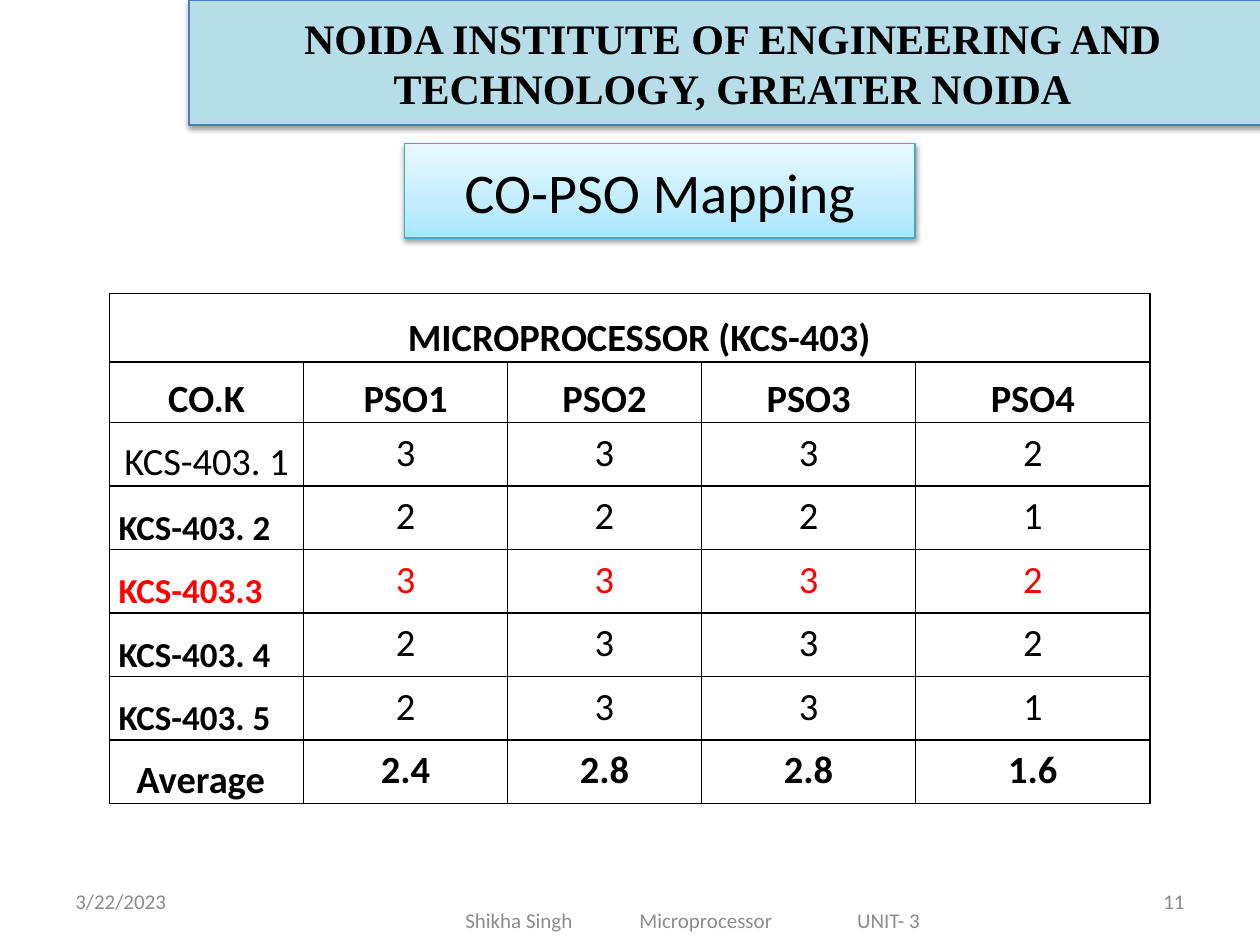
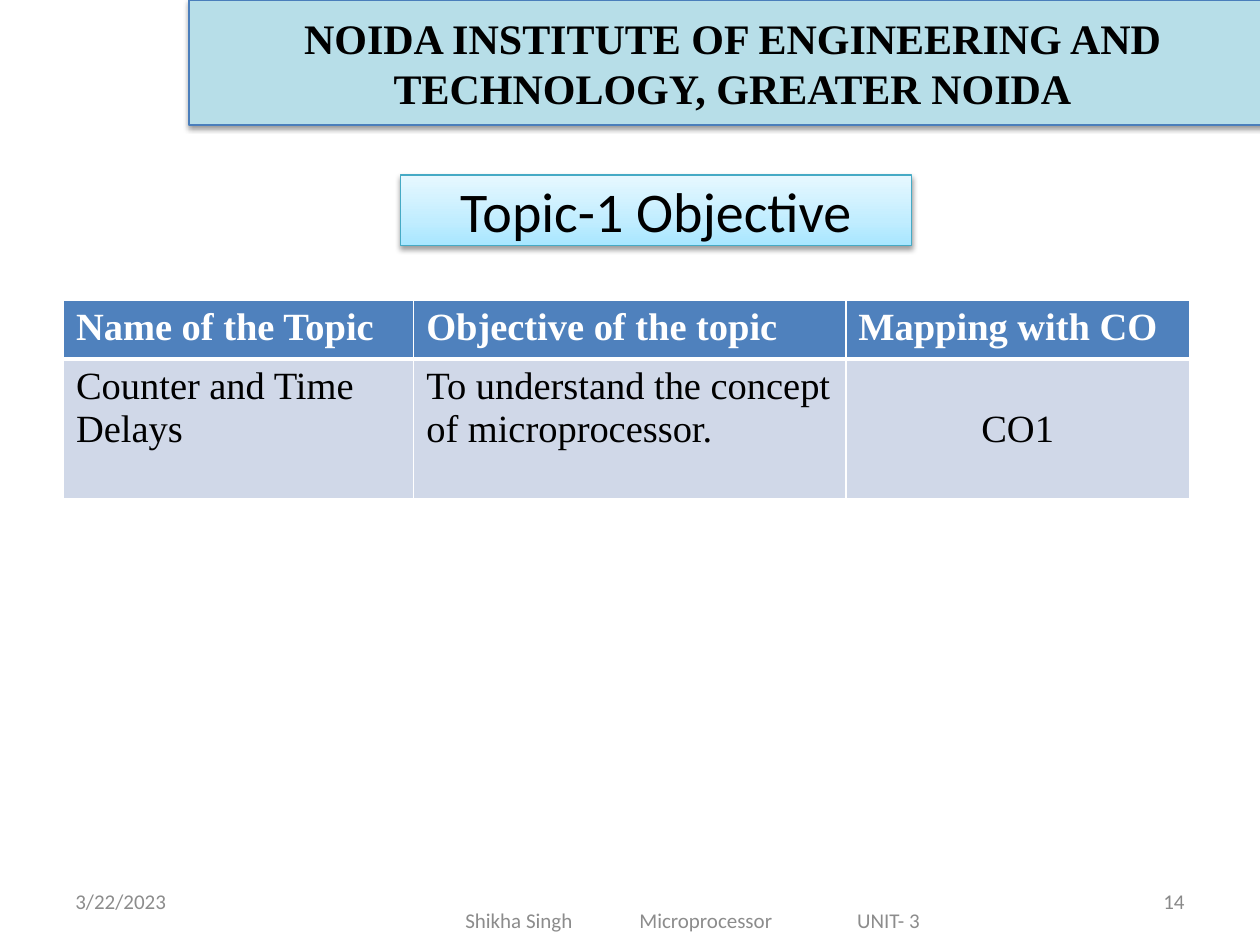
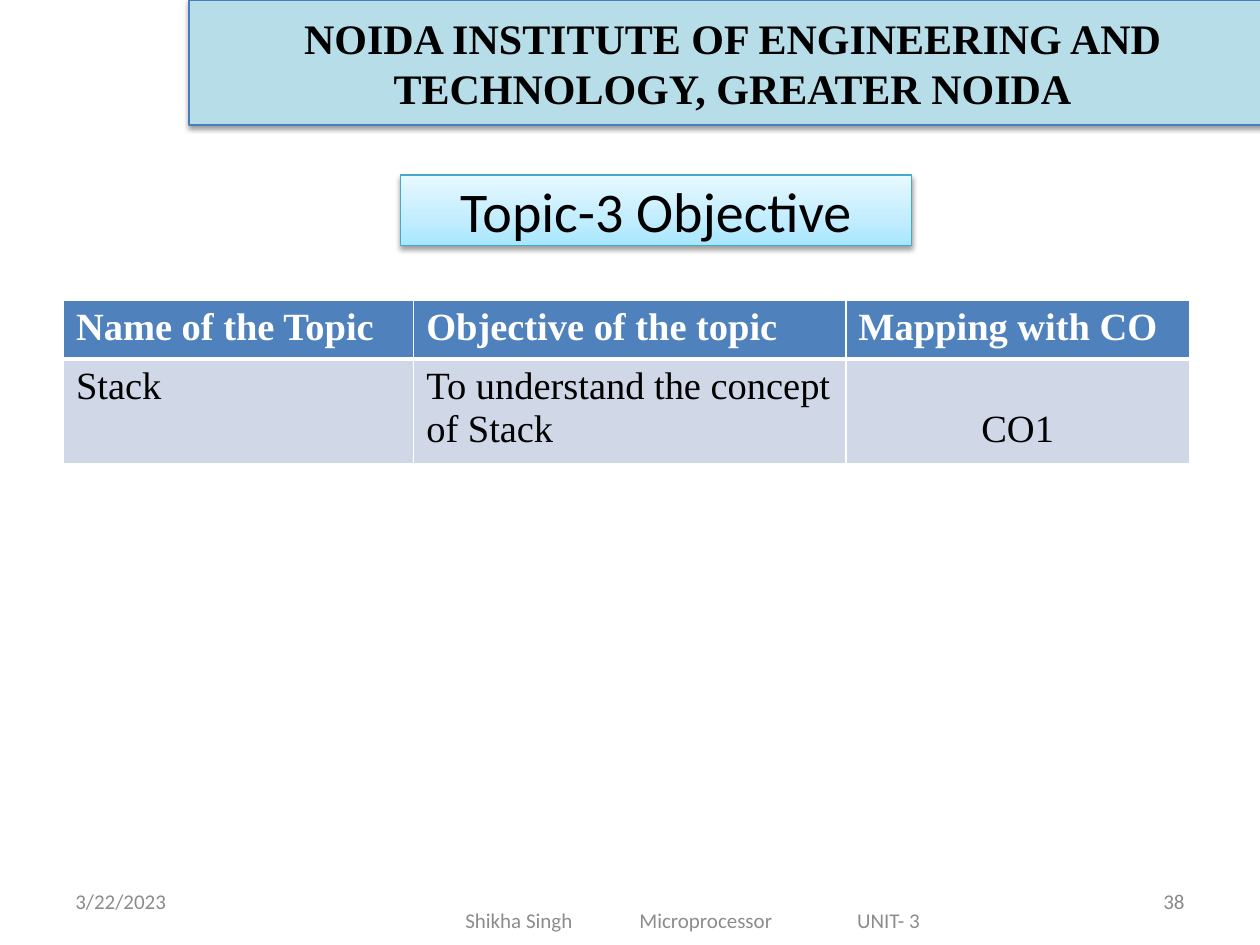
from dataclasses import dataclass
from copy import deepcopy

from lxml import etree
from pptx import Presentation
from pptx.dml.color import RGBColor
from pptx.enum.shapes import MSO_SHAPE
from pptx.enum.text import MSO_ANCHOR, PP_ALIGN
from pptx.oxml.ns import qn
from pptx.util import Cm, Pt

RECTANGLE = MSO_SHAPE.RECTANGLE
LEFT, CENTER, RIGHT = PP_ALIGN.LEFT, PP_ALIGN.CENTER, PP_ALIGN.RIGHT
TOP, MIDDLE, BOTTOM = MSO_ANCHOR.TOP, MSO_ANCHOR.MIDDLE, MSO_ANCHOR.BOTTOM

# Content
INSTITUTE = "NOIDA INSTITUTE OF ENGINEERING AND TECHNOLOGY, GREATER NOIDA"
DATE = "3/22/2023"
FOOTER = ("Shikha Singh", "Microprocessor", "UNIT- 3")

MAPPING = {
    "number": 11,
    "heading": "CO-PSO Mapping",
    "course": "MICROPROCESSOR (KCS-403)",
    "header": ("CO.K", "PSO1", "PSO2", "PSO3", "PSO4"),
    "outcomes": [
        ("KCS-403. 1", 3, 3, 3, 2),
        ("KCS-403. 2", 2, 2, 2, 1),
        ("KCS-403.3", 3, 3, 3, 2),
        ("KCS-403. 4", 2, 3, 3, 2),
        ("KCS-403. 5", 2, 3, 3, 1),
    ],
    "highlight": "KCS-403.3",
    "average": ("Average", 2.4, 2.8, 2.8, 1.6),
}
TOPIC_HEADER = ("Name of the Topic", "Objective of the topic", "Mapping with CO")
TOPICS = [
    {
        "number": 14,
        "heading": "Topic-1 Objective",
        "row": ("Counter and Time Delays",
                "To understand the concept of microprocessor.", "CO1"),
        "row_height": 2.82,
    },
    {
        "number": 38,
        "heading": "Topic-3 Objective",
        "row": ("Stack", "To understand the concept of Stack", "CO1"),
        "row_height": 1.96,
    },
]


@dataclass(frozen=True)
class Theme:
    sans: str = "Calibri"
    serif: str = "Times New Roman"
    banner_size: int = 24
    heading_size: int = 32
    table_size: int = 22
    outcome_size: int = 20
    footer_size: int = 12
    black: str = "000000"
    white: str = "FFFFFF"
    red: str = "FF0000"
    footer: str = "8C8C8C"
    number: str = "898989"
    banner: str = "B7DEE8"
    banner_line: str = "4A7EBB"
    heading_line: str = "46AAC5"
    heading_stops: tuple = ((0, "A7E6FF"), (0.35, "C1EDFF"), (1, "E7F8FF"))
    topic_header: str = "4F81BD"
    topic_row: str = "D0D8E8"


THEME = Theme()

# Layout, in centimetres
BANNER = (3.81, 0, 21.67, 2.52)
MAPPING_HEADING = (8.16, 2.9, 10.29, 1.9)
TOPIC_HEADING = (8.08, 3.53, 10.29, 1.42)
FOOTER_TOP, FOOTER_HEIGHT = 17.65, 1.02
FOOTER_TABS = (3.51, 7.9)
MAPPING_CORNER = (2.21, 5.92)
MAPPING_COLUMNS = (3.91, 4.11, 3.91, 4.32, 4.72)
TOPIC_CORNER = (1.28, 6.05)
TOPIC_COLUMNS = (7.06, 8.71, 6.93)


def rgb(color):
    return RGBColor.from_string(color)


def write(paragraph, text, size, color, font=THEME.sans, bold=False, align=LEFT):
    paragraph.text = str(text)
    paragraph.alignment = align
    paragraph.font.name = font
    paragraph.font.size = Pt(size)
    paragraph.font.bold = bold
    paragraph.font.color.rgb = rgb(color)


def add_text(slide, box, text, color, align=LEFT, tabs=(), inset=0.25):
    frame = slide.shapes.add_textbox(*map(Cm, box)).text_frame
    frame.word_wrap = True
    frame.vertical_anchor = MIDDLE
    frame.margin_left = Cm(inset)
    paragraph = frame.paragraphs[0]
    if tabs:
        tab_list = etree.SubElement(paragraph._p.get_or_add_pPr(), qn("a:tabLst"))
        for position in tabs:
            etree.SubElement(tab_list, qn("a:tab"), pos=str(Cm(position)), algn="l")
    write(paragraph, text, THEME.footer_size, color, align=align)


def add_panel(slide, box, line):
    """Rectangle with a soft shadow below it."""
    panel = slide.shapes.add_shape(RECTANGLE, *map(Cm, box))
    panel.line.color.rgb = rgb(line)
    panel.line.width = Pt(0.75)
    panel.shadow.inherit = False
    effects = panel._element.spPr.find(qn("a:effectLst"))
    shadow = etree.SubElement(effects, qn("a:outerShdw"), blurRad=str(Pt(3.1)),
                              dist=str(Pt(1.6)), dir="5400000", rotWithShape="0")
    color = etree.SubElement(shadow, qn("a:srgbClr"), val=THEME.black)
    etree.SubElement(color, qn("a:alpha"), val="38000")
    panel.text_frame.word_wrap = True
    panel.text_frame.vertical_anchor = MIDDLE
    return panel


def add_base(deck, number, heading, heading_box):
    """Slide with banner, heading and footer."""
    slide = deck.slides.add_slide(deck.slide_layouts[6])

    # Footer
    add_text(slide, (1.27, FOOTER_TOP, 5.92, FOOTER_HEIGHT), DATE, THEME.footer)
    add_text(slide, (6.99, FOOTER_TOP + 0.38, 13.97, FOOTER_HEIGHT),
             "\t".join(FOOTER), THEME.footer, tabs=FOOTER_TABS, inset=2.39)
    add_text(slide, (18.21, FOOTER_TOP, 5.92, FOOTER_HEIGHT), number,
             THEME.number, RIGHT)

    # Heading
    panel = add_panel(slide, heading_box, THEME.heading_line)
    panel.fill.gradient()
    panel.fill.gradient_angle = 90
    stop_list = panel._element.spPr.find(".//" + qn("a:gsLst"))
    stop_list.append(deepcopy(stop_list[0]))
    for stop, (position, color) in zip(panel.fill.gradient_stops, THEME.heading_stops):
        stop.position = position
        stop.color.rgb = rgb(color)
    write(panel.text_frame.paragraphs[0], heading, THEME.heading_size,
          THEME.black, align=CENTER)

    # Banner
    banner = add_panel(slide, BANNER, THEME.banner_line)
    banner.fill.solid()
    banner.fill.fore_color.rgb = rgb(THEME.banner)
    banner.text_frame.margin_right = 0
    write(banner.text_frame.paragraphs[0], INSTITUTE, THEME.banner_size,
          THEME.black, THEME.serif, True, CENTER)
    return slide


def add_grid(slide, corner, columns, rows):
    box = (*corner, sum(columns), sum(rows))
    table = slide.shapes.add_table(len(rows), len(columns), *map(Cm, box)).table
    for column, width in zip(table.columns, columns):
        column.width = Cm(width)
    for row, height in zip(table.rows, rows):
        row.height = Cm(height)
    return table


def style_cell(cell, border, fill=None, top=1, bottom=1):
    if fill:
        cell.fill.solid()
        cell.fill.fore_color.rgb = rgb(fill)
    else:
        cell.fill.background()
    properties = cell._tc.get_or_add_tcPr()
    sides = (("L", 1), ("R", 1), ("T", top), ("B", bottom))
    for index, (side, width) in enumerate(sides):
        line = etree.Element(qn(f"a:ln{side}"), w=str(Pt(width)))
        solid = etree.SubElement(line, qn("a:solidFill"))
        etree.SubElement(solid, qn("a:srgbClr"), val=border)
        properties.insert(index, line)


def fill_mapping_cell(cell, text, size=THEME.table_size, color=THEME.black,
                      bold=True, align=CENTER, anchor=BOTTOM, inset=0.18):
    cell.margin_left, cell.margin_right = Cm(inset), Cm(0.18)
    cell.margin_top = cell.margin_bottom = 0
    cell.vertical_anchor = anchor
    paragraph = cell.text_frame.paragraphs[0]
    paragraph.line_spacing = 1.15
    write(paragraph, text, size, color, bold=bold, align=align)


def build_mapping(deck, content):
    slide = add_base(deck, content["number"], content["heading"], MAPPING_HEADING)
    scores = [*content["outcomes"], content["average"]]
    rows = [1.38, 1.22] + [1.28] * len(scores)
    table = add_grid(slide, MAPPING_CORNER, MAPPING_COLUMNS, rows)
    for cell in table.iter_cells():
        style_cell(cell, THEME.black)

    # Course title and column names
    table.cell(0, 0).merge(table.cell(0, len(MAPPING_COLUMNS) - 1))
    fill_mapping_cell(table.cell(0, 0), content["course"], inset=0.56)
    for column, name in enumerate(content["header"]):
        fill_mapping_cell(table.cell(1, column), name)

    # Outcomes and their average
    for row, (outcome, *values) in enumerate(scores, start=2):
        color = THEME.red if outcome == content["highlight"] else THEME.black
        average = outcome == content["average"][0]
        label = table.cell(row, 0)
        if row == 2:
            fill_mapping_cell(label, outcome, bold=False)
        elif average:
            fill_mapping_cell(label, outcome, align=LEFT, inset=0.54)
        else:
            fill_mapping_cell(label, outcome, THEME.outcome_size, color, align=LEFT)
        for column, value in enumerate(values, start=1):
            fill_mapping_cell(table.cell(row, column), value, color=color,
                              bold=average, anchor=TOP)


def build_topic(deck, content):
    slide = add_base(deck, content["number"], content["heading"], TOPIC_HEADING)
    table = add_grid(slide, TOPIC_CORNER, TOPIC_COLUMNS, (1.09, content["row_height"]))
    for column, (name, value) in enumerate(zip(TOPIC_HEADER, content["row"])):
        header, body = table.cell(0, column), table.cell(1, column)
        style_cell(header, THEME.white, THEME.topic_header, bottom=3)
        style_cell(body, THEME.white, THEME.topic_row, top=3)
        write(header.text_frame.paragraphs[0], name, THEME.table_size,
              THEME.white, THEME.serif, True)
        last = column == len(TOPIC_HEADER) - 1
        write(body.text_frame.paragraphs[0], value, THEME.table_size,
              THEME.black, THEME.serif, align=CENTER if last else LEFT)
        if last:
            body.margin_top = Cm(1)  # level with the second line of the objective


def main():
    deck = Presentation()
    deck.slide_width, deck.slide_height = Cm(25.4), Cm(19.05)
    build_mapping(deck, MAPPING)
    for topic in TOPICS:
        build_topic(deck, topic)
    deck.save("out.pptx")


if __name__ == "__main__":
    main()
